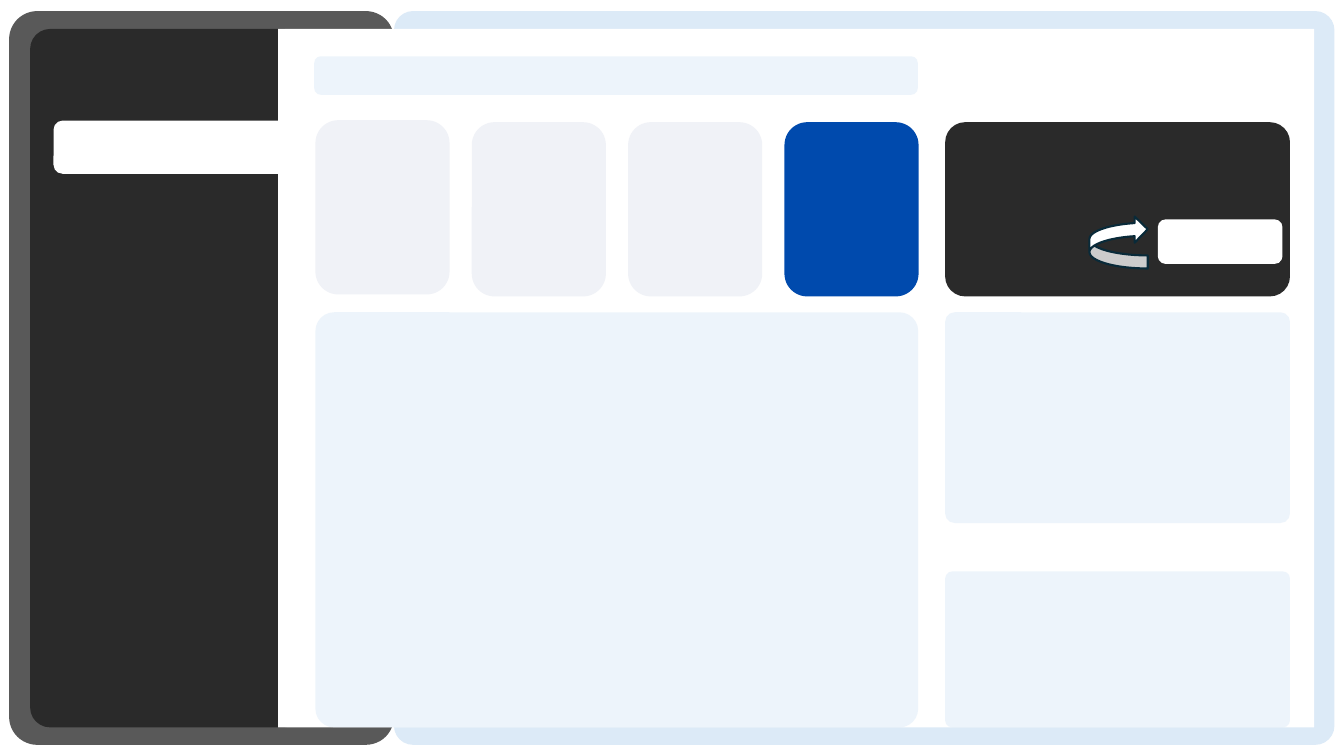
import pptx
import pptx.util
import pptx.dml.color
import pptx.enum.shapes
import pptx.oxml
import pptx.oxml.ns
from pptx.util import Cm

DARK, GREY, WHITE = "2A2A2A", "595959", "FFFFFF"
PALE_BLUE, CARD, ACCENT, ARROW_LINE = "DCEAF7", "F0F2F7", "004AAD", "092A39"
PANEL_ALPHA = 49


def rgb(value):
    return pptx.dml.color.RGBColor.from_string(value)


class Dashboard:
    """Draws the dashboard parts on one slide; lengths are centimetres."""

    def __init__(self, slide):
        self.slide = slide
        self.kinds = pptx.enum.shapes.MSO_SHAPE

    def shape(self, kind, x, y, w, h, fill, alpha=None):
        sp = self.slide.shapes.add_shape(kind, Cm(x), Cm(y), Cm(w), Cm(h))
        sp.shadow.inherit = False
        sp.fill.solid()
        sp.fill.fore_color.rgb = rgb(fill)
        sp.line.fill.background()
        if alpha is not None:
            color = sp._element.spPr.find(".//" + pptx.oxml.ns.qn("a:srgbClr"))
            ns = pptx.oxml.ns.nsdecls("a")
            color.append(pptx.oxml.parse_xml(f'<a:alpha {ns} val="{alpha * 1000}"/>'))
        return sp

    def box(self, x, y, w, h, fill, radius=0.17, alpha=None):
        """Rounded rectangle; radius is a share of the shorter side."""
        sp = self.shape(self.kinds.ROUNDED_RECTANGLE, x, y, w, h, fill, alpha)
        sp.adjustments[0] = radius
        return sp

    def panel(self, x, y, w, h, radius=0.045):
        return self.box(x, y, w, h, PALE_BLUE, radius, PANEL_ALPHA)

    def turn_arrow(self, x, y, w, h):
        sp = self.shape(self.kinds.CURVED_DOWN_ARROW, x, y, w, h, WHITE)
        sp.rotation = 270
        sp.line.color.rgb = rgb(ARROW_LINE)
        sp.line.width = pptx.util.Pt(1.5)
        return sp


def main():
    prs = pptx.Presentation()
    prs.slide_width, prs.slide_height = Cm(33.87), Cm(19.05)
    s = prs.slides.add_slide(prs.slide_layouts[6])
    board = Dashboard(s)

    # Frame, sidebar and page
    board.box(9.93, 0.28, 23.7, 18.49, PALE_BLUE, 0.026)
    board.box(0.23, 0.28, 9.7, 18.49, GREY, 0.073)
    board.box(0.76, 0.73, 6.91, 17.6, DARK, 0.073)
    board.box(7.01, 0.73, 26.11, 17.6, WHITE, 0)
    board.box(1.35, 3.04, 6.58, 1.34, WHITE)

    # Search bar and the row of cards
    board.panel(7.92, 1.42, 15.21, 0.97, 0.17)
    card_left, card_step, card_top = 7.95, 3.94, 3.08
    for i, fill in enumerate([CARD, CARD, CARD, ACCENT]):
        top = card_top if i else 3.03
        board.box(card_left + i * card_step, top, 3.38, 4.39, fill)

    # Main panel and right column
    right_left, right_width, panel_top = 23.82, 8.69, 7.87
    board.panel(card_left, panel_top, 15.19, 10.46)
    board.box(right_left, card_top, right_width, 4.39, DARK, 0.115)
    board.panel(right_left, panel_top, right_width, 5.31)
    board.panel(right_left, 14.4, right_width, 3.93)

    # Button with its arrow
    board.box(29.18, 5.53, 3.14, 1.12, WHITE)
    board.turn_arrow(27.53, 5.37, 1.32, 1.47)

    prs.save("out.pptx")


if __name__ == "__main__":
    main()
